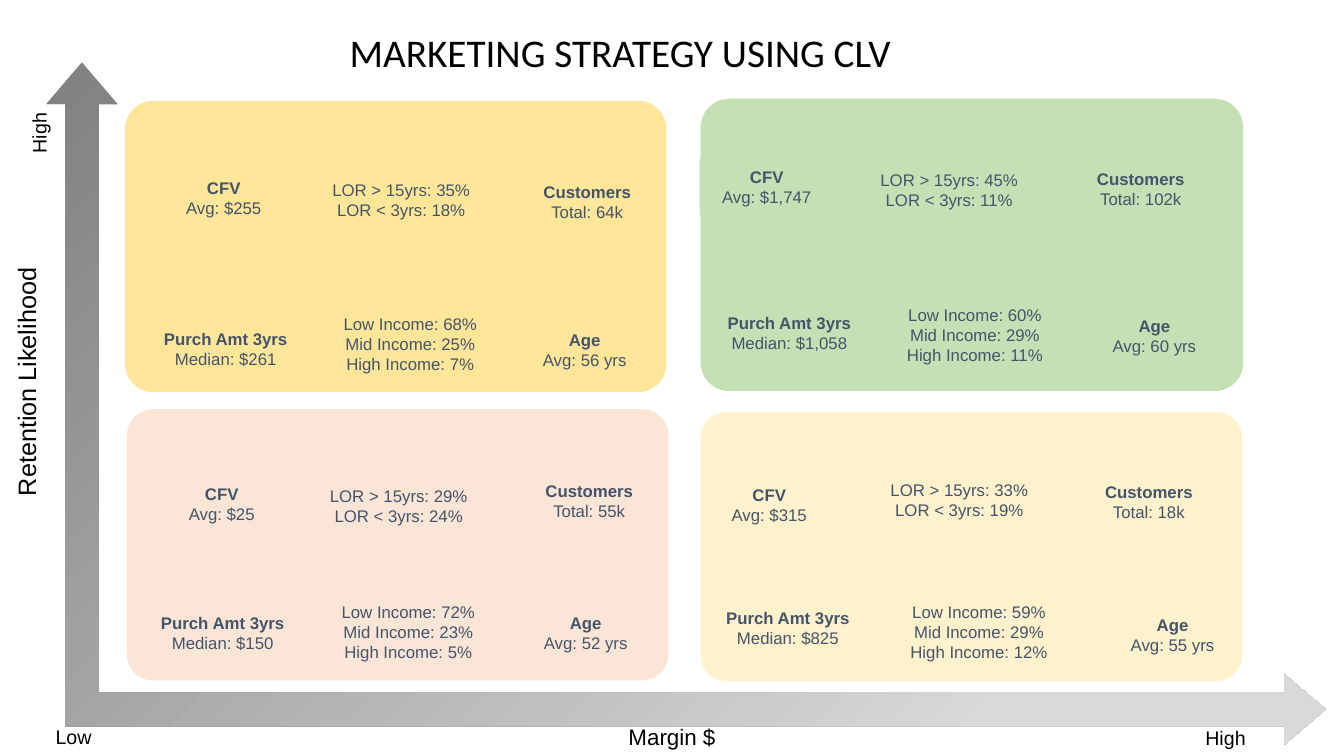
from lxml import etree
from pptx import Presentation
from pptx.dml.color import RGBColor
from pptx.enum.shapes import MSO_SHAPE
from pptx.enum.text import MSO_ANCHOR, MSO_AUTO_SIZE, PP_ALIGN
from pptx.oxml.ns import qn
from pptx.util import Inches, Pt

ROUNDED = MSO_SHAPE.ROUNDED_RECTANGLE
AXES_ARROW = MSO_SHAPE.LEFT_UP_ARROW
MIDDLE = MSO_ANCHOR.MIDDLE
FIT_SHAPE = MSO_AUTO_SIZE.SHAPE_TO_FIT_TEXT
LEFT, CENTER = PP_ALIGN.LEFT, PP_ALIGN.CENTER

BLACK, SLATE = "000000", "44546A"

# Each segment: fill, panel box, then its figures as (box, heading, lines)
SEGMENTS = [
    ("FBE5D6", (1.26, 4.06, 5.37, 2.69), [
        ((1.58, 4.67, 1.24, 0.66), "CFV", ["Avg: $25"]),
        ((5.12, 4.73, 1.45, 0.48), "Customers", ["Total: 55k"]),
        ((1.38, 5.95, 1.66, 0.66), "Purch Amt 3yrs", ["Median: $150"]),
        ((5.13, 5.95, 1.36, 0.66), "Age", ["Avg: 52 yrs"]),
        ((2.9, 4.66, 2.11, 0.71), None, ["LOR > 15yrs: 29%", "LOR < 3yrs: 24%"]),
        ((2.89, 5.82, 2.32, 0.9), None,
         ["Low Income: 72%", "Mid Income: 23%", "High Income: 5%"]),
    ]),
    ("FFF2CC", (6.95, 4.09, 5.37, 2.67), [
        ((7.01, 4.68, 1.24, 0.66), "CFV", ["Avg: $315"]),
        ((10.67, 4.65, 1.45, 0.66), "Customers", ["Total: 18k"]),
        ((7.03, 5.9, 1.57, 0.66), "Purch Amt 3yrs", ["Median: $825"]),
        ((11.01, 5.97, 1.24, 0.66), "Age", ["Avg: 55 yrs"]),
        ((8.52, 4.6, 1.99, 0.71), None, ["LOR > 15yrs: 33%", "LOR < 3yrs: 19%"]),
        ((8.55, 5.82, 2.32, 0.9), None,
         ["Low Income: 59%", "Mid Income: 29%", "High Income: 12%"]),
    ]),
    ("FFE699", (1.24, 1, 5.37, 2.89), [
        ((1.6, 1.63, 1.24, 0.66), "CFV", ["Avg: $255"]),
        ((5.1, 1.67, 1.45, 0.66), "Customers", ["Total: 64k"]),
        ((1.41, 3.13, 1.66, 0.66), "Purch Amt 3yrs", ["Median: $261"]),
        ((5.18, 3.14, 1.24, 0.66), "Age", ["Avg: 56 yrs"]),
        ((2.73, 1.59, 2.5, 0.78), None, ["LOR > 15yrs: 35%", "LOR < 3yrs: 18%"]),
        ((2.91, 2.96, 2.32, 0.9), None,
         ["Low Income: 68%", "Mid Income: 25%", "High Income: 7%"]),
    ]),
    ("C5E0B4", (6.95, 0.98, 5.38, 2.9), [
        ((6.94, 1.52, 1.33, 0.66), "CFV", ["Avg: $1,747"]),
        ((10.59, 1.54, 1.45, 0.66), "Customers", ["Total: 102k"]),
        ((7, 2.97, 1.66, 0.66), "Purch Amt 3yrs", ["Median: $1,058"]),
        ((10.78, 3, 1.34, 0.66), "Age", ["Avg: 60 yrs"]),
        ((8.34, 1.49, 2.15, 0.79), None, ["LOR > 15yrs: 45%", "LOR < 3yrs: 11%"]),
        ((8.51, 2.87, 2.32, 0.9), None,
         ["Low Income: 60%", "Mid Income: 29%", "High Income: 11%"]),
    ]),
]


def color(value):
    return RGBColor.from_string(value)


def inches(box):
    return [Inches(length) for length in box]


def style(para, size, ink, align, font="Arial", bold=False):
    para.alignment = align
    para.font.name = font
    para.font.size = Pt(size)
    para.font.bold = bold
    para.font.color.rgb = color(ink)


def add_rounded(page, box, fill):
    shape = page.shapes.add_shape(ROUNDED, *inches(box))
    shape.adjustments[0] = 0.097
    shape.shadow.inherit = False
    shape.fill.solid()
    shape.fill.fore_color.rgb = color(fill)
    shape.line.fill.background()
    return shape


def add_figure(page, box, fill, heading, lines):
    frame = add_rounded(page, box, fill).text_frame
    frame.word_wrap = True
    frame.vertical_anchor = MIDDLE
    texts = [heading, *lines] if heading else lines
    for index, text in enumerate(texts):
        para = frame.paragraphs[0] if index == 0 else frame.add_paragraph()
        para.text = text
        style(para, 12, SLATE, CENTER, bold=text == heading)


def add_axis_label(page, box, text, size, vertical=False, wrap=False):
    frame = page.shapes.add_textbox(*inches(box)).text_frame
    frame.word_wrap = wrap
    frame.auto_size = FIT_SHAPE
    if vertical:
        frame._txBody.bodyPr.set("vert", "vert270")
    para = frame.paragraphs[0]
    para.text = text
    style(para, size, BLACK, LEFT if vertical else CENTER)


def add_title(page, box, text):
    frame = page.shapes.add_textbox(*inches(box)).text_frame
    frame.word_wrap = True
    frame.vertical_anchor = MIDDLE
    para = frame.paragraphs[0]
    para.text = text
    para.line_spacing = 0.9
    style(para, 28, BLACK, LEFT, font="Calibri")


def add_axes(page, box):
    axes = page.shapes.add_shape(AXES_ARROW, *inches(box))
    for index, value in enumerate((0.049, 0.052, 0.061)):
        axes.adjustments[index] = value
    axes.shadow.inherit = False
    axes.line.fill.background()
    properties = axes.element.spPr
    properties.find(qn("a:xfrm")).set("flipH", "1")

    # Radial gradient centred on one corner
    gradient = etree.Element(qn("a:gradFill"), rotWithShape="1")
    stops = etree.SubElement(gradient, qn("a:gsLst"))
    for position, shade in ((18, "D9D9D9"), (100, "808080")):
        stop = etree.SubElement(stops, qn("a:gs"), pos=str(position * 1000))
        etree.SubElement(stop, qn("a:srgbClr"), val=shade)
    path = etree.SubElement(gradient, qn("a:path"), path="circle")
    etree.SubElement(path, qn("a:fillToRect"), l="100000", t="100000")
    properties.find(qn("a:prstGeom")).addnext(gradient)


def main():
    deck = Presentation()
    deck.slide_width, deck.slide_height = Inches(13.33), Inches(7.5)
    page = deck.slides.add_slide(deck.slide_layouts[6])

    # Title and axes
    add_title(page, (3.37, 0.1, 9.05, 0.88), "MARKETING STRATEGY USING CLV")
    add_axes(page, (0.46, 0.62, 12.69, 6.77))
    add_axis_label(page, (0.06, 2.63, 0.5, 2.39), "Retention Likelihood", 18, vertical=True)
    add_axis_label(page, (0.22, 1, 0.5, 0.62), "High", 14, vertical=True, wrap=True)
    add_axis_label(page, (6.13, 7.13, 1.07, 0.37), "Margin $", 16)
    add_axis_label(page, (11.85, 7.15, 0.61, 0.34), "High", 14)
    add_axis_label(page, (0.45, 7.14, 0.56, 0.34), "Low", 14)

    # Customer segments
    for fill, panel, figures in SEGMENTS:
        add_rounded(page, panel, fill)
        for box, heading, lines in figures:
            add_figure(page, box, fill, heading, lines)

    deck.save("out.pptx")


if __name__ == "__main__":
    main()
